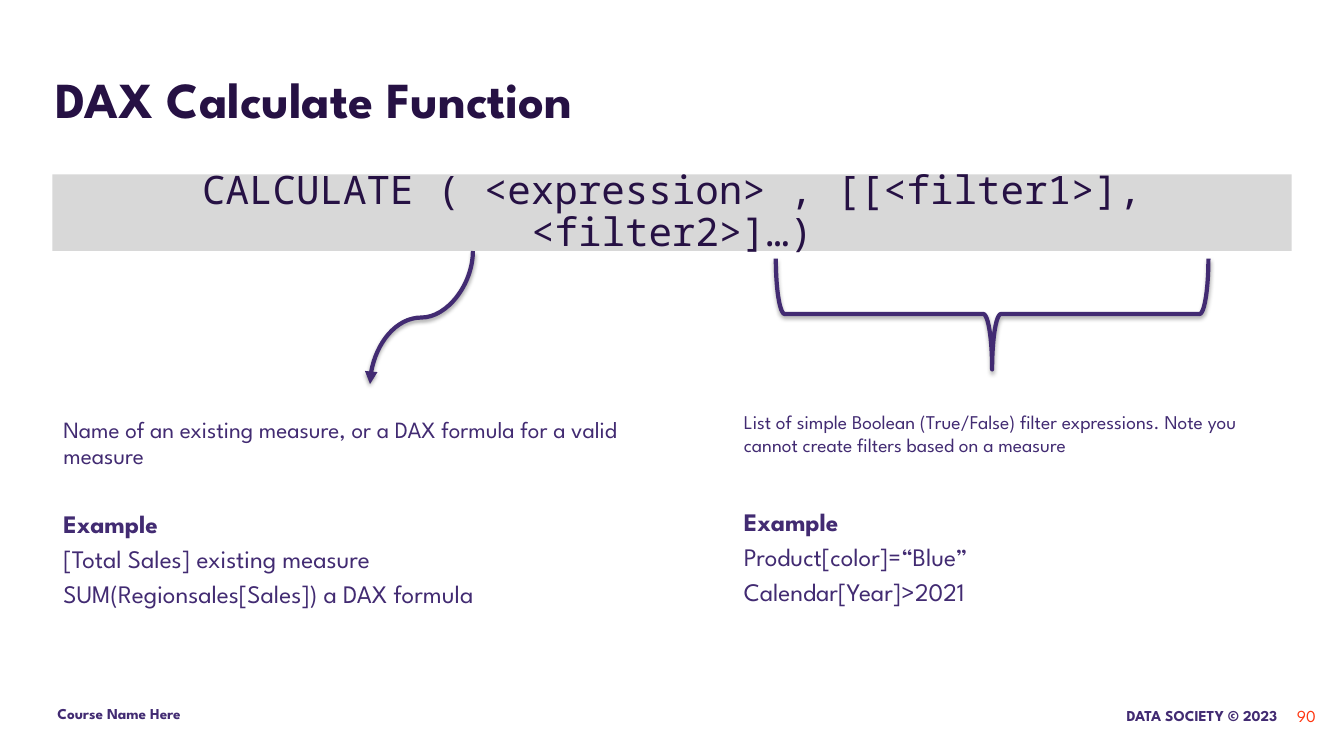
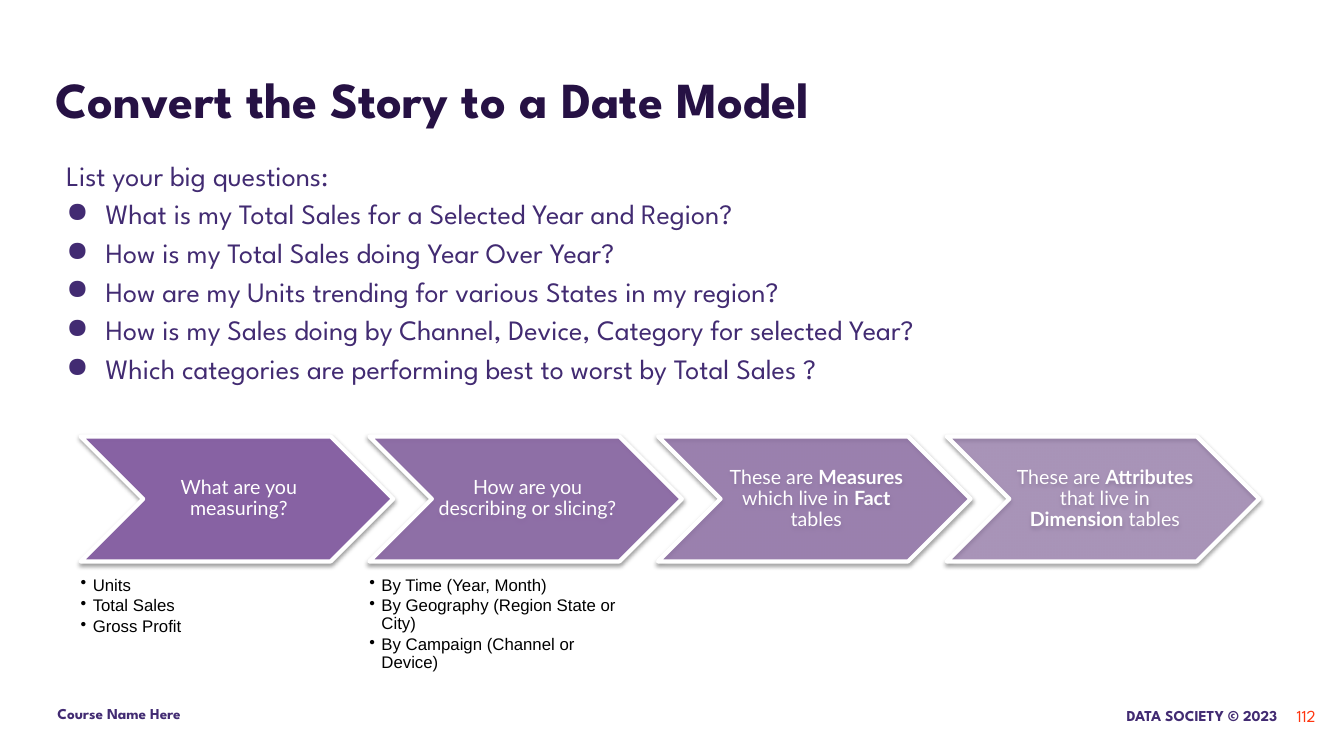
from dataclasses import dataclass, replace

from lxml.etree import SubElement
from pptx import Presentation
from pptx.dml.color import RGBColor
from pptx.enum.shapes import MSO_CONNECTOR, MSO_SHAPE
from pptx.enum.text import MSO_ANCHOR, MSO_AUTO_SIZE, PP_ALIGN
from pptx.oxml.ns import qn
from pptx.util import Emu, Pt

EMU_PER_PX = 9144  # 100 px to the inch
TITLE_ONLY = 5


@dataclass(frozen=True)
class Theme:
    heading: str = "261144"
    body: str = "422B72"
    number: str = "FF350F"
    band: str = "D8D8D8"
    chevron: str = "845BA3"
    white: str = "FFFFFF"
    black: str = "000000"
    main_font: str = "League Spartan"
    code_font: str = "Noto Sans Mono"
    chevron_font: str = "Lato"
    list_font: str = "Arial"
    line_width: int = 3


THEME = Theme()


@dataclass(frozen=True)
class TextStyle:
    size: float
    color: str = THEME.body
    font: str = THEME.main_font
    bold: bool = False
    align: PP_ALIGN = PP_ALIGN.LEFT
    spacing: float = 1.0
    before: float = 0
    indent: int = 0
    hanging: int = 0
    bullet: str = ""


TITLE = TextStyle(36, THEME.heading, bold=True)
FOOTER = TextStyle(10.8, bold=True)
NUMBER = TextStyle(12, THEME.number, align=PP_ALIGN.RIGHT)
SYNTAX = TextStyle(28, THEME.heading, THEME.code_font,
                   align=PP_ALIGN.CENTER, spacing=0.9)
DESCRIPTION = TextStyle(16.6, spacing=0.95, indent=11)
EXAMPLE = TextStyle(18, spacing=1.15, indent=11)
INTRO = TextStyle(20, spacing=1.15, indent=11)
QUESTION = replace(INTRO, indent=50, hanging=39, bullet="●")
STEP = TextStyle(14, THEME.white, THEME.chevron_font,
                 align=PP_ALIGN.CENTER, spacing=0.9)
DETAIL = TextStyle(12, THEME.black, THEME.list_font, spacing=0.9,
                   before=1.8, indent=12, hanging=12, bullet="•")

# Words between asterisks are bold. Boxes are left, top, width, height in px.
COURSE = "Course Name Here"
COPYRIGHT = "DATA SOCIETY © 2023"

CALCULATE_SYNTAX = "CALCULATE ( <expression> , [[<filter1>], <filter2>]…)"
ARGUMENTS = [
    {
        "description": "Name of an existing measure, or a DAX formula for a valid measure",
        "description_box": (42, 404, 649, 76),
        "size": 16.6,
        "example": ["*Example*", "[Total Sales] existing measure",
                    "SUM(Regionsales[Sales]) a DAX formula"],
        "example_box": (42, 490, 649, 126),
    },
    {
        "description": "List of simple Boolean (True/False) filter expressions. "
                       "Note you cannot create filters based on a measure",
        "description_box": (717, 399, 535, 76),
        "size": 13.9,
        "example": ["*Example*", "Product[color]=“Blue”", "Calendar[Year]>2021"],
        "example_box": (717, 488, 649, 126),
    },
]

QUESTIONS_INTRO = "List your big questions:"
QUESTIONS = [
    "What is my Total Sales for a Selected Year and Region?",
    "How is my Total Sales doing Year Over Year?",
    "How are my Units trending for various States in my region?",
    "How is my Sales doing by Channel, Device, Category for selected Year?",
    "Which categories are performing best to worst by Total Sales ?",
]
STEPS = [
    ("What are you measuring?", ["Units", "Total Sales", "Gross Profit"]),
    ("How are you describing or slicing?",
     ["By Time (Year, Month)", "By Geography (Region State or City)",
      "By Campaign (Channel or Device)"]),
    ("These are *Measures* which live in *Fact* tables", []),
    ("These are *Attributes* that live in *Dimension* tables", []),
]


def px(length):
    return Emu(round(length * EMU_PER_PX))


def place(box):
    return [px(length) for length in box]


def add_bullet(paragraph, style):
    properties = paragraph._p.get_or_add_pPr()
    properties.set("marL", str(px(style.indent)))
    properties.set("indent", str(px(-style.hanging)))
    if style.bullet:
        color = SubElement(properties, qn("a:buClr"))
        SubElement(color, qn("a:srgbClr"), val=style.color)
        SubElement(properties, qn("a:buChar"), char=style.bullet)


def fill_text(shape, entries, insets=(10, 10, 10, 10), anchor=MSO_ANCHOR.TOP):
    """Write (style, text) entries, one paragraph each; insets are in px."""
    frame = shape.text_frame
    frame.word_wrap = True
    frame.auto_size = MSO_AUTO_SIZE.NONE
    frame.vertical_anchor = anchor
    (frame.margin_left, frame.margin_top,
     frame.margin_right, frame.margin_bottom) = place(insets)
    for index, (style, text) in enumerate(entries):
        paragraph = frame.add_paragraph() if index else frame.paragraphs[0]
        add_bullet(paragraph, style)
        paragraph.alignment = style.align
        paragraph.line_spacing = style.spacing
        paragraph.space_before = Pt(style.before if index else 0)
        for part, words in enumerate(text.split("*")):
            if words:
                run = paragraph.add_run()
                run.text = words
                run.font.name = style.font
                run.font.size = Pt(style.size)
                run.font.bold = style.bold or part % 2 == 1
                run.font.color.rgb = RGBColor.from_string(style.color)


def add_text(slide, box, entries, **options):
    fill_text(slide.shapes.add_textbox(*place(box)), entries, **options)


def add_plain_shape(slide, kind, box, fill=None):
    shape = slide.shapes.add_shape(kind, *place(box))
    shape.shadow.inherit = False
    if fill:
        shape.fill.solid()
        shape.fill.fore_color.rgb = RGBColor.from_string(fill)
    else:
        shape.fill.background()
    shape.line.fill.background()
    return shape


def set_line(shape, color):
    shape.line.color.rgb = RGBColor.from_string(color)
    shape.line.width = Pt(THEME.line_width)


def set_shadow(shape, opacity, distance):
    """Add a soft shadow straight below; opacity in percent, distance in points."""
    properties = shape.element.spPr
    effects = properties.find(qn("a:effectLst"))
    if effects is None:
        effects = SubElement(properties, qn("a:effectLst"))
    shadow = SubElement(effects, qn("a:outerShdw"), blurRad=str(Pt(3.1)),
                        dist=str(Pt(distance)), dir="5400000", rotWithShape="0")
    color = SubElement(shadow, qn("a:srgbClr"), val=THEME.black)
    SubElement(color, qn("a:alpha"), val=str(opacity * 1000))


def set_opacity(shape, percent):
    color = shape.element.spPr.find(qn("a:solidFill")).find(qn("a:srgbClr"))
    SubElement(color, qn("a:alpha"), val=str(round(percent * 1000)))


def add_titled_slide(presentation, title, number):
    slide = presentation.slides.add_slide(presentation.slide_layouts[TITLE_ONLY])
    heading = slide.shapes.title
    heading.left, heading.top, heading.width, heading.height = place((45, 58, 1242, 84))
    fill_text(heading, [(TITLE, title)])
    footer_insets = (12, 12, 12, 12)
    add_text(slide, (1057, 689, 222, 42),
             [(replace(FOOTER, align=PP_ALIGN.RIGHT), COPYRIGHT)], insets=footer_insets)
    add_text(slide, (45, 687, 274, 42), [(FOOTER, COURSE)], insets=footer_insets)
    add_text(slide, (1235, 689, 80, 42), [(NUMBER, number)], anchor=MSO_ANCHOR.MIDDLE)
    return slide


def add_curved_arrow(slide, start, end):
    """Draw an S-curve that leaves start and reaches end vertically."""
    (start_x, start_y), (end_x, end_y) = start, end
    center_x, center_y = (start_x + end_x) / 2, (start_y + end_y) / 2
    half_width, half_height = (end_y - start_y) / 2, (start_x - end_x) / 2
    arrow = slide.shapes.add_connector(
        MSO_CONNECTOR.CURVE,
        px(center_x - half_width), px(center_y - half_height),
        px(center_x + half_width), px(center_y + half_height))
    arrow.element.spPr.find(qn("a:xfrm")).set("rot", "5400000")
    set_line(arrow, THEME.body)
    SubElement(arrow.line._get_or_add_ln(), qn("a:tailEnd"), type="triangle")
    set_shadow(arrow, 35, 1.8)


def build_calculate_slide(presentation):
    slide = add_titled_slide(presentation, "DAX Calculate Function", "90")
    band = add_plain_shape(slide, MSO_SHAPE.RECTANGLE, (52, 173, 1229, 76), THEME.band)
    fill_text(band, [(SYNTAX, CALCULATE_SYNTAX)], insets=(10, 5, 10, 5),
              anchor=MSO_ANCHOR.MIDDLE)
    add_curved_arrow(slide, (469, 249), (367, 381))
    brace = add_plain_shape(slide, MSO_SHAPE.LEFT_BRACE, (929, 97, 110, 429))
    brace.rotation = 270
    brace.adjustments[0] = 0.08
    set_line(brace, THEME.body)
    set_shadow(brace, 35, 1.8)
    for argument in ARGUMENTS:
        style = replace(DESCRIPTION, size=argument["size"])
        add_text(slide, argument["description_box"], [(style, argument["description"])])
        add_text(slide, argument["example_box"],
                 [(EXAMPLE, line) for line in argument["example"]])


def build_story_slide(presentation):
    slide = add_titled_slide(presentation, "Convert the Story to a Date Model", "112")
    add_text(slide, (45, 142, 1242, 259),
             [(INTRO, QUESTIONS_INTRO)] + [(QUESTION, line) for line in QUESTIONS])
    first_left, last_left = 80, 939
    most_opaque, least_opaque = 90, 50
    for index, (label, details) in enumerate(STEPS):
        share = index / (len(STEPS) - 1)
        left = first_left + share * (last_left - first_left)
        chevron = add_plain_shape(slide, MSO_SHAPE.CHEVRON, (left, 433, 310, 124),
                                  THEME.chevron)
        set_opacity(chevron, most_opaque + share * (least_opaque - most_opaque))
        set_line(chevron, THEME.white)
        set_shadow(chevron, 38, 1.6)
        fill_text(chevron, [(STEP, label)], insets=(6, 2, 2, 2),
                  anchor=MSO_ANCHOR.MIDDLE)
        if details:
            add_text(slide, (left, 572, 248, 128),
                     [(DETAIL, line) for line in details], insets=(0, 0, 0, 0))


def main():
    presentation = Presentation()
    presentation.slide_width, presentation.slide_height = px(1333), px(750)
    build_calculate_slide(presentation)
    build_story_slide(presentation)
    presentation.save("out.pptx")


if __name__ == "__main__":
    main()
